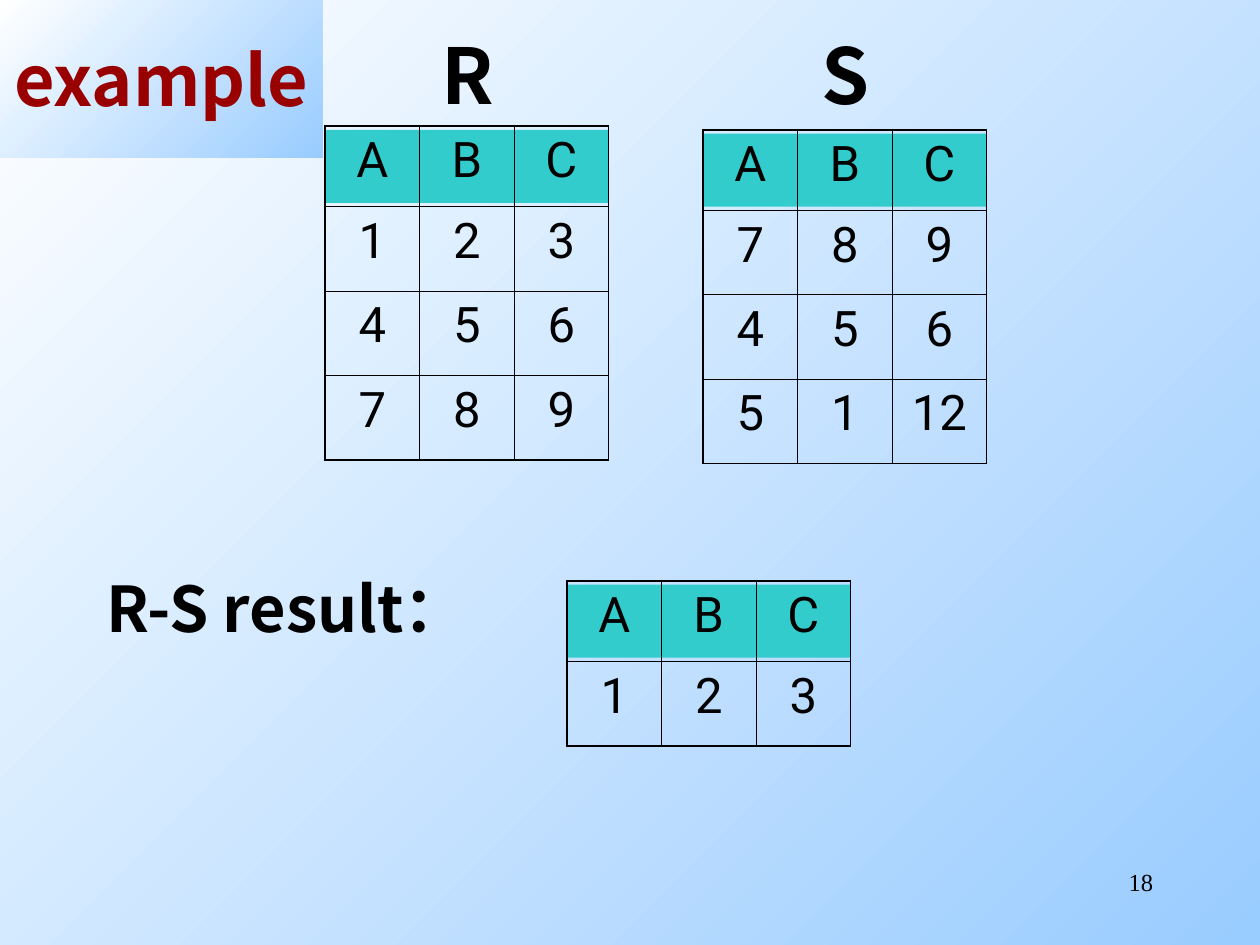
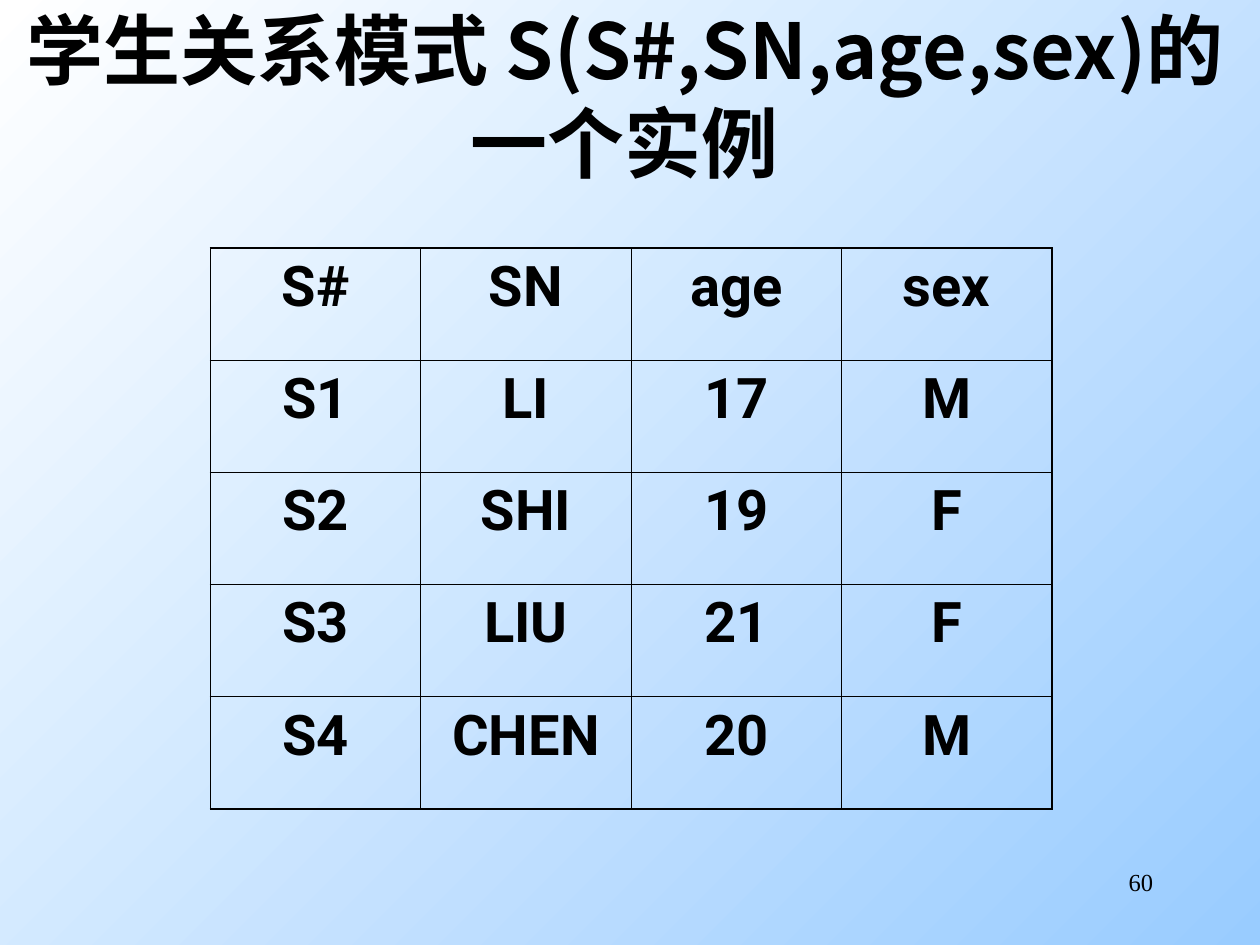
from dataclasses import dataclass

from lxml.etree import SubElement
from pptx import Presentation
from pptx.dml.color import RGBColor
from pptx.enum.shapes import MSO_SHAPE
from pptx.enum.text import MSO_ANCHOR, MSO_AUTO_SIZE, PP_ALIGN
from pptx.oxml.ns import qn
from pptx.util import Inches, Pt


@dataclass(frozen=True)
class Theme:
    black: str = "000000"
    dark_red: str = "990000"
    teal: str = "33CCCC"
    gradient: tuple = ("FFFFFF", "99CCFF")
    heading_font: str = "Noto Sans CJK SC"
    table_font: str = "Roboto"
    number_font: str = "Times New Roman"
    heading_size: int = 44
    example_size: int = 40
    result_size: int = 36
    student_size: int = 32
    relation_size: int = 28
    number_size: int = 14
    outer_border: float = 1.08
    inner_border: float = 0.45


THEME = Theme()

ATTRIBUTES = ("A", "B", "C")
RELATION_COLUMN = 0.75
RELATION_ROWS = (0.64, 0.67, 0.67, 0.67)
RELATIONS = [
    {"at": (2.58, 1.0), "rows": [ATTRIBUTES, (1, 2, 3), (4, 5, 6), (7, 8, 9)]},
    {"at": (5.58, 1.03), "rows": [ATTRIBUTES, (7, 8, 9), (4, 5, 6), (5, 1, 12)]},
    {"at": (4.5, 4.61), "rows": [ATTRIBUTES, (1, 2, 3)]},
]
RELATION_NAMES = [("R", 3.25), ("S", 6.25)]
RESULT_LABEL = "R-S result："

STUDENT_TITLE = "学生关系模式 S(S#,SN,age,sex)的一个实例"
STUDENT_COLUMN = 1.67
STUDENT_ROW = 0.89
STUDENTS = [
    ("S#", "SN", "age", "sex"),
    ("S1", "LI", 17, "M"),
    ("S2", "SHI", 19, "F"),
    ("S3", "LIU", 21, "F"),
    ("S4", "CHEN", 20, "M"),
]


def color(value):
    return RGBColor.from_string(value)


def fill_gradient(fill):
    fill.gradient()
    fill.gradient_angle = 315
    for position, (stop, value) in enumerate(zip(fill.gradient_stops, THEME.gradient)):
        stop.position = position
        stop.color.rgb = color(value)


def write(frame, text, font_name, size, bold=False, ink=THEME.black,
          align=PP_ALIGN.CENTER):
    """Put one formatted paragraph into a text frame and return it."""
    frame.text = str(text)
    paragraph = frame.paragraphs[0]
    paragraph.alignment = align
    for font in (paragraph.font, paragraph.runs[0].font):
        font.name = font_name
        font.size = Pt(size)
        font.bold = bold
        font.color.rgb = color(ink)
        SubElement(font._element, qn("a:ea"), typeface=font_name)
    return paragraph


def add_label(slide, text, box, *style, **options):
    frame = slide.shapes.add_textbox(*map(Inches, box)).text_frame
    frame.word_wrap = True
    return write(frame, text, *style, **options)


def set_title(slide, text, box, anchor, size, ink=THEME.black):
    title = slide.shapes.title
    title.left, title.top, title.width, title.height = map(Inches, box)
    frame = title.text_frame
    frame.auto_size = MSO_AUTO_SIZE.NONE
    frame.vertical_anchor = anchor
    write(frame, text, THEME.heading_font, size, True, ink)
    return title


def set_borders(cell, outer_edges):
    """Draw thick lines on the table's outer edges and thin ones elsewhere."""
    properties = cell._tc.get_or_add_tcPr()
    for edge in "LRTB":
        width = THEME.outer_border if edge in outer_edges else THEME.inner_border
        line = SubElement(properties, qn(f"a:ln{edge}"), w=str(Pt(width)))
        SubElement(SubElement(line, qn("a:solidFill")), qn("a:srgbClr"), val=THEME.black)


def add_grid(slide, rows, left, top, column_width, row_heights, size, bold=False):
    columns = len(rows[0])
    table = slide.shapes.add_table(
        len(rows), columns, Inches(left), Inches(top),
        Inches(column_width * columns), Inches(sum(row_heights))).table
    table.first_row = table.horz_banding = False
    for column in table.columns:
        column.width = Inches(column_width)
    for row, height in zip(table.rows, row_heights):
        row.height = Inches(height)
    for row_index, values in enumerate(rows):
        for column_index, value in enumerate(values):
            cell = table.cell(row_index, column_index)
            write(cell.text_frame, value, THEME.table_font, size, bold)
            at_edge = {"L": column_index == 0, "R": column_index == columns - 1,
                       "T": row_index == 0, "B": row_index == len(rows) - 1}
            set_borders(cell, [edge for edge, outer in at_edge.items() if outer])
            cell.fill.background()


def add_relation(slide, at, rows):
    left, top = at
    band = slide.shapes.add_shape(
        MSO_SHAPE.RECTANGLE, Inches(left), Inches(top + 0.03),
        Inches(RELATION_COLUMN * len(ATTRIBUTES)), Inches(0.58))
    band.shadow.inherit = False
    band.fill.solid()
    band.fill.fore_color.rgb = color(THEME.teal)
    band.line.fill.background()
    add_grid(slide, rows, left, top, RELATION_COLUMN, RELATION_ROWS[:len(rows)],
             THEME.relation_size)


def add_numbered_slide(presentation, number):
    slide = presentation.slides.add_slide(presentation.slide_layouts[5])
    add_label(slide, number, (7.17, 6.83, 2.08, 0.5), THEME.number_font,
              THEME.number_size, align=PP_ALIGN.RIGHT)
    return slide


def build_difference_slide(presentation):
    slide = add_numbered_slide(presentation, 18)
    title = set_title(slide, "example", (0, 0, 2.56, 1.25), MSO_ANCHOR.MIDDLE,
                      THEME.example_size, THEME.dark_red)
    fill_gradient(title.fill)
    for relation in RELATIONS:
        add_relation(slide, **relation)
    for name, left in RELATION_NAMES:
        add_label(slide, name, (left, 0.17, 0.92, 0.84), THEME.heading_font,
                  THEME.heading_size, bold=True)
    result = add_label(slide, RESULT_LABEL, (0.75, 4.17, 3.67, 1), THEME.heading_font,
                       THEME.result_size, bold=True, align=PP_ALIGN.LEFT)
    result.line_spacing = 1.5


def build_student_slide(presentation):
    slide = add_numbered_slide(presentation, 60)
    set_title(slide, STUDENT_TITLE, (0, 0.5, 9.92, 1.04), MSO_ANCHOR.BOTTOM,
              THEME.heading_size)
    add_grid(slide, STUDENTS, 1.67, 1.97, STUDENT_COLUMN,
             [STUDENT_ROW] * len(STUDENTS), THEME.student_size, bold=True)


def main():
    presentation = Presentation()
    presentation.slide_width, presentation.slide_height = Inches(10), Inches(7.5)
    fill_gradient(presentation.slide_master.background.fill)
    build_difference_slide(presentation)
    build_student_slide(presentation)
    presentation.save("out.pptx")


if __name__ == "__main__":
    main()
